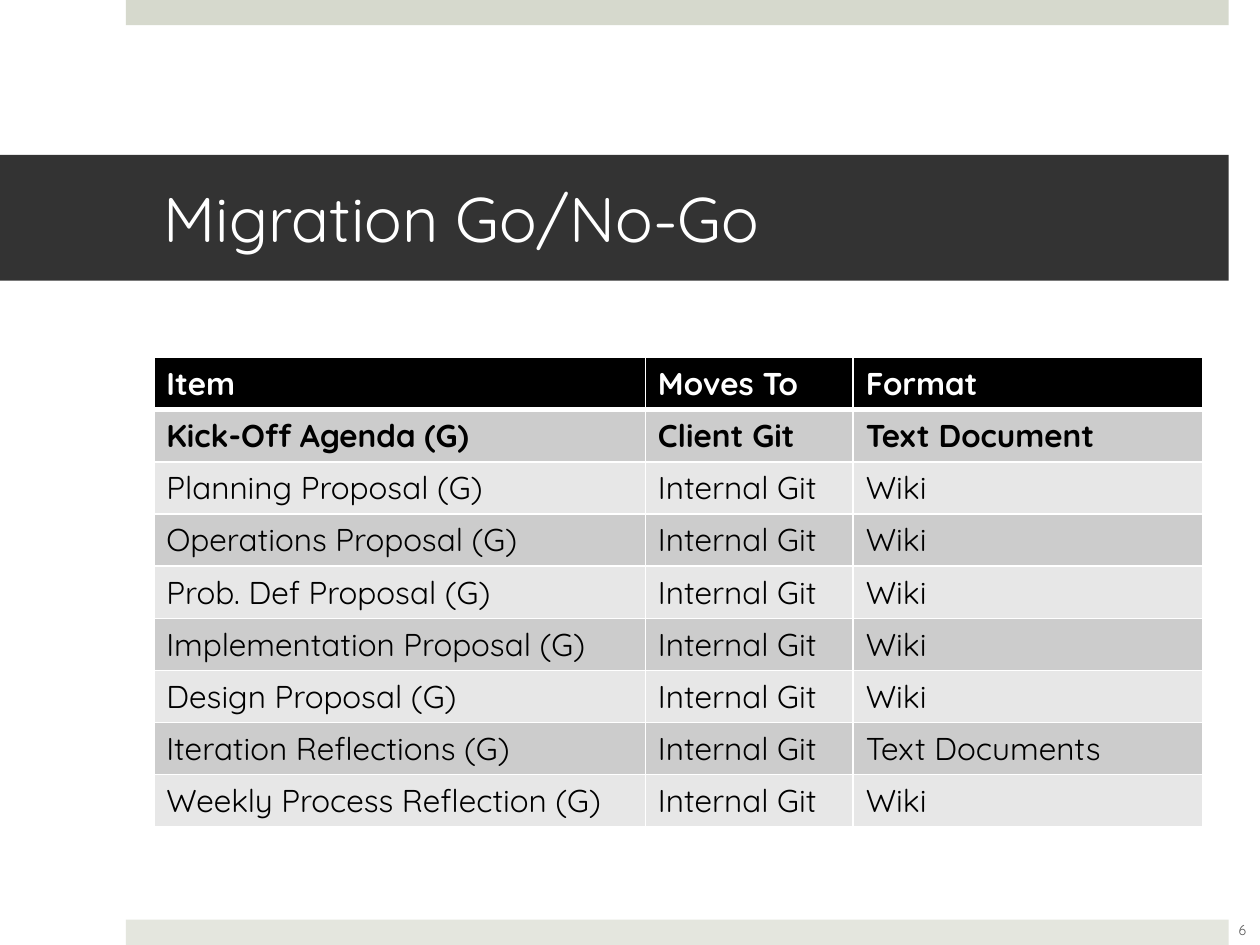
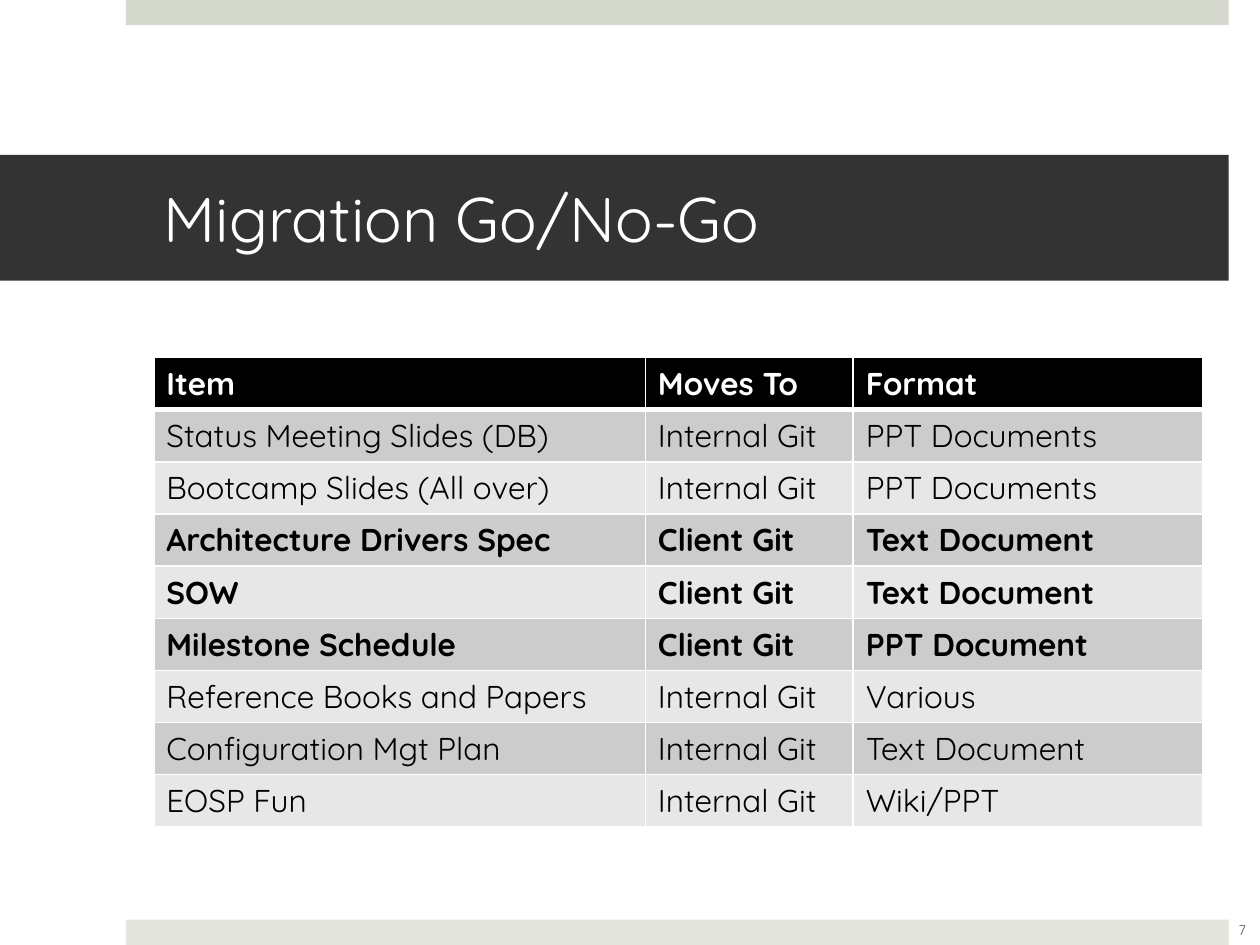
from lxml.etree import SubElement
from pptx import Presentation
from pptx.dml.color import RGBColor
from pptx.enum.shapes import MSO_SHAPE
from pptx.enum.text import MSO_ANCHOR, MSO_AUTO_SIZE, PP_ALIGN
from pptx.oxml.ns import qn
from pptx.util import Cm, Pt

FONT = "Quicksand"
WHITE, BLACK, CHARCOAL, GREY = "FFFFFF", "000000", "333333", "595959"
BANDS = [(0, "D6D9CD"), (18.54, "E4E6DE")]  # top in cm, colour
ROW_FILLS = ["CCCCCC", "E7E7E7"]
COLUMN_WIDTHS = [9.91, 4.19, 7.04]
ROW_HEIGHT = 1.03
HEADER = ("Item", "Moves To", "Format")
CLIENT, INTERNAL = "Client Git", "Internal Git"

SLIDES = [
    (6, [
        ("Kick-Off Agenda (G)", CLIENT, "Text Document"),
        ("Planning Proposal (G)", INTERNAL, "Wiki"),
        ("Operations Proposal (G)", INTERNAL, "Wiki"),
        ("Prob. Def Proposal (G)", INTERNAL, "Wiki"),
        ("Implementation Proposal (G)", INTERNAL, "Wiki"),
        ("Design Proposal (G)", INTERNAL, "Wiki"),
        ("Iteration Reflections (G)", INTERNAL, "Text Documents"),
        ("Weekly Process Reflection (G)", INTERNAL, "Wiki"),
    ]),
    (7, [
        ("Status Meeting Slides (DB)", INTERNAL, "PPT Documents"),
        ("Bootcamp Slides (All over)", INTERNAL, "PPT Documents"),
        ("Architecture Drivers Spec", CLIENT, "Text Document"),
        ("SOW", CLIENT, "Text Document"),
        ("Milestone Schedule", CLIENT, "PPT Document"),
        ("Reference Books and Papers", INTERNAL, "Various"),
        ("Configuration Mgt Plan", INTERNAL, "Text Document"),
        ("EOSP Fun", INTERNAL, "Wiki/PPT"),
    ]),
]


def paint(fill, color):
    fill.solid()
    fill.fore_color.rgb = RGBColor.from_string(color)


def write(tf, text, size, color, bold=False, align=PP_ALIGN.LEFT):
    tf.text = text
    p = tf.paragraphs[0]
    p.alignment = align
    p.font.name, p.font.size, p.font.bold = FONT, Pt(size), bold
    p.font.color.rgb = RGBColor.from_string(color)


prs = Presentation()
prs.slide_width, prs.slide_height = Cm(25.4), Cm(19.05)

for number, items in SLIDES:
    s = prs.slides.add_slide(prs.slide_layouts[5])

    for top, color in BANDS:
        band = s.shapes.add_shape(MSO_SHAPE.RECTANGLE, Cm(2.54), Cm(top), Cm(22.23), Cm(0.51))
        band.shadow.inherit = False
        paint(band.fill, color)
        band.line.fill.background()

    title = s.shapes.title
    title.left, title.top, title.width, title.height = Cm(0), Cm(3.12), Cm(24.77), Cm(2.54)
    paint(title.fill, CHARCOAL)
    tf = title.text_frame
    tf.auto_size = MSO_AUTO_SIZE.NONE
    tf.vertical_anchor = MSO_ANCHOR.MIDDLE
    tf.margin_left, tf.margin_right = Cm(3.3), Cm(0.76)
    write(tf, "Migration Go/No-Go", 36, WHITE)

    rows = [HEADER] + items
    table = s.shapes.add_table(len(rows), len(HEADER), Cm(3.1), Cm(7.21),
                               Cm(sum(COLUMN_WIDTHS)), Cm(ROW_HEIGHT * len(rows))).table
    table.horz_banding = False
    for column, width in zip(table.columns, COLUMN_WIDTHS):
        column.width = Cm(width)

    for r, row in enumerate(rows):
        header = r == 0
        bold = header or row[1] == CLIENT
        for c, text in enumerate(row):
            cell = table.cell(r, c)
            write(cell.text_frame, text, 18, WHITE if header else BLACK, bold)
            for side in "LRTB":
                under_header = (r, side) in [(0, "B"), (1, "T")]
                ln = SubElement(cell._tc.get_or_add_tcPr(), qn(f"a:ln{side}"),
                                w=str(Pt(3 if under_header else 1)))
                SubElement(SubElement(ln, qn("a:solidFill")), qn("a:srgbClr"), val=WHITE)
            paint(cell.fill, BLACK if header else ROW_FILLS[(r - 1) % 2])

    page = s.shapes.add_textbox(Cm(24.41), Cm(18.24), Cm(1.27), Cm(1.02))
    tf = page.text_frame
    tf.word_wrap = True
    tf.vertical_anchor = MSO_ANCHOR.MIDDLE
    write(tf, str(number), 8, GREY, align=PP_ALIGN.CENTER)

prs.save("out.pptx")
